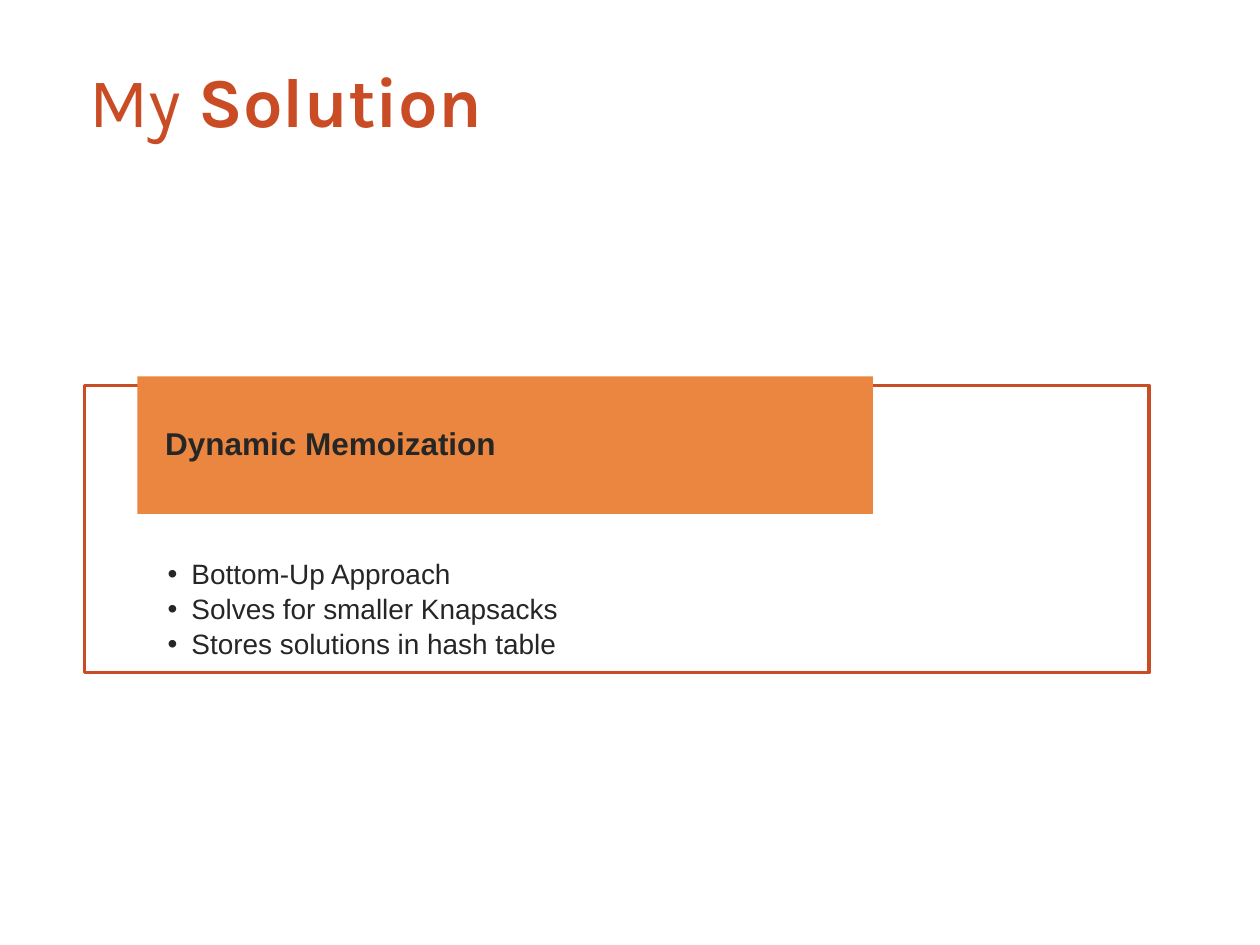
import pptx
import pptx.util
import pptx.dml.color
import pptx.enum.shapes
import pptx.enum.text

Cm, Pt = pptx.util.Cm, pptx.util.Pt
Anchor = pptx.enum.text.MSO_ANCHOR

# Content
TITLE = [("My", False), (" Solution", True)]
HEAD = "Dynamic Memoization"
ITEMS = [
    "Bottom-Up Approach",
    "Solves for smaller Knapsacks",
    "Stores solutions in hash table",
]
RUST, AMBER, INK = "C94C25", "EA8640", "262626"

# Places: left, top, width, height in cm
TITLE_BOX = (1.3, 1.07, 12.88, 1.88)
FRAME_BOX = (1.7, 7.77, 21.46, 5.79)
BAND_BOX = (2.77, 7.59, 14.83, 2.77)


def color(code):
    return pptx.dml.color.RGBColor.from_string(code)


def place(shape, box):
    shape.left, shape.top, shape.width, shape.height = map(Cm, box)


def write(shape, lines, font="Arial", size=16, ink=INK, pads=(0, 0, 0, 0),
          anchor=Anchor.MIDDLE, space=1, after=0, left=0, hang=0):
    """Each line is a list of (text, bold) runs; pads run left, top, right, bottom."""
    frame = shape.text_frame
    frame.word_wrap = True
    frame.auto_size = pptx.enum.text.MSO_AUTO_SIZE.NONE
    frame.vertical_anchor = anchor
    (frame.margin_left, frame.margin_top,
     frame.margin_right, frame.margin_bottom) = map(Cm, pads)
    for i, runs in enumerate(lines):
        para = frame.add_paragraph() if i else frame.paragraphs[0]
        para.alignment = pptx.enum.text.PP_ALIGN.LEFT
        para.line_spacing = space
        para.space_before, para.space_after = Pt(0), Pt(after)
        props = para._p.get_or_add_pPr()
        props.set("marL", str(Cm(left)))
        props.set("indent", str(Cm(-hang)))
        for text, bold in runs:
            run = para.add_run()
            run.text = text
            run.font.name, run.font.size, run.font.bold = font, Pt(size), bold
            run.font.color.rgb = color(ink)


deck = pptx.Presentation()
deck.slide_width, deck.slide_height = Cm(25.4), Cm(19.05)
slide = deck.slides.add_slide(deck.slide_layouts[1])

# Title
title = slide.shapes.title
place(title, TITLE_BOX)
write(title, [TITLE], font="Karla", size=40, ink=RUST,
      pads=(0, 0.13, 0, 0.13), left=0.5)

# Framed list, bulleted by the body placeholder
body = slide.placeholders[1]
place(body, FRAME_BOX)
body.line.color.rgb = color(RUST)
body.line.width = Pt(2)
write(body, [[(item, False)] for item in ITEMS], pads=(1.68, 3.53, 1.68, 0.3),
      anchor=Anchor.TOP, space=0.9, after=2.8, left=0.48, hang=0.48)

# Heading band over the frame's top edge
band = slide.shapes.add_shape(
    pptx.enum.shapes.MSO_SHAPE.RECTANGLE, *map(Cm, BAND_BOX))
band.shadow.inherit = False
band.fill.solid()
band.fill.fore_color.rgb = color(AMBER)
band.line.fill.background()
write(band, [[(HEAD, True)]], size=18, pads=(0.56, 0, 0.56, 0), space=0.9)

deck.save("out.pptx")
